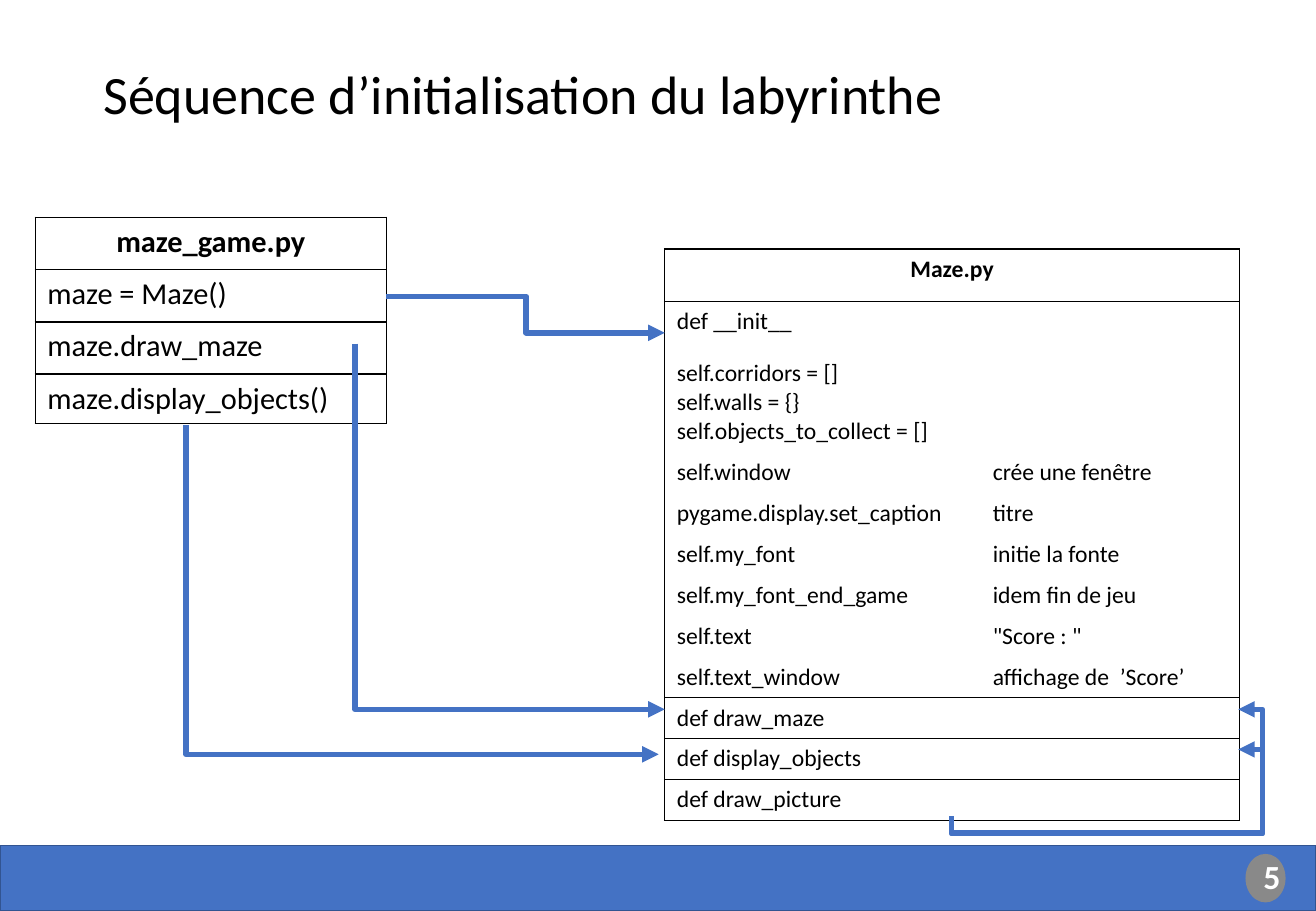
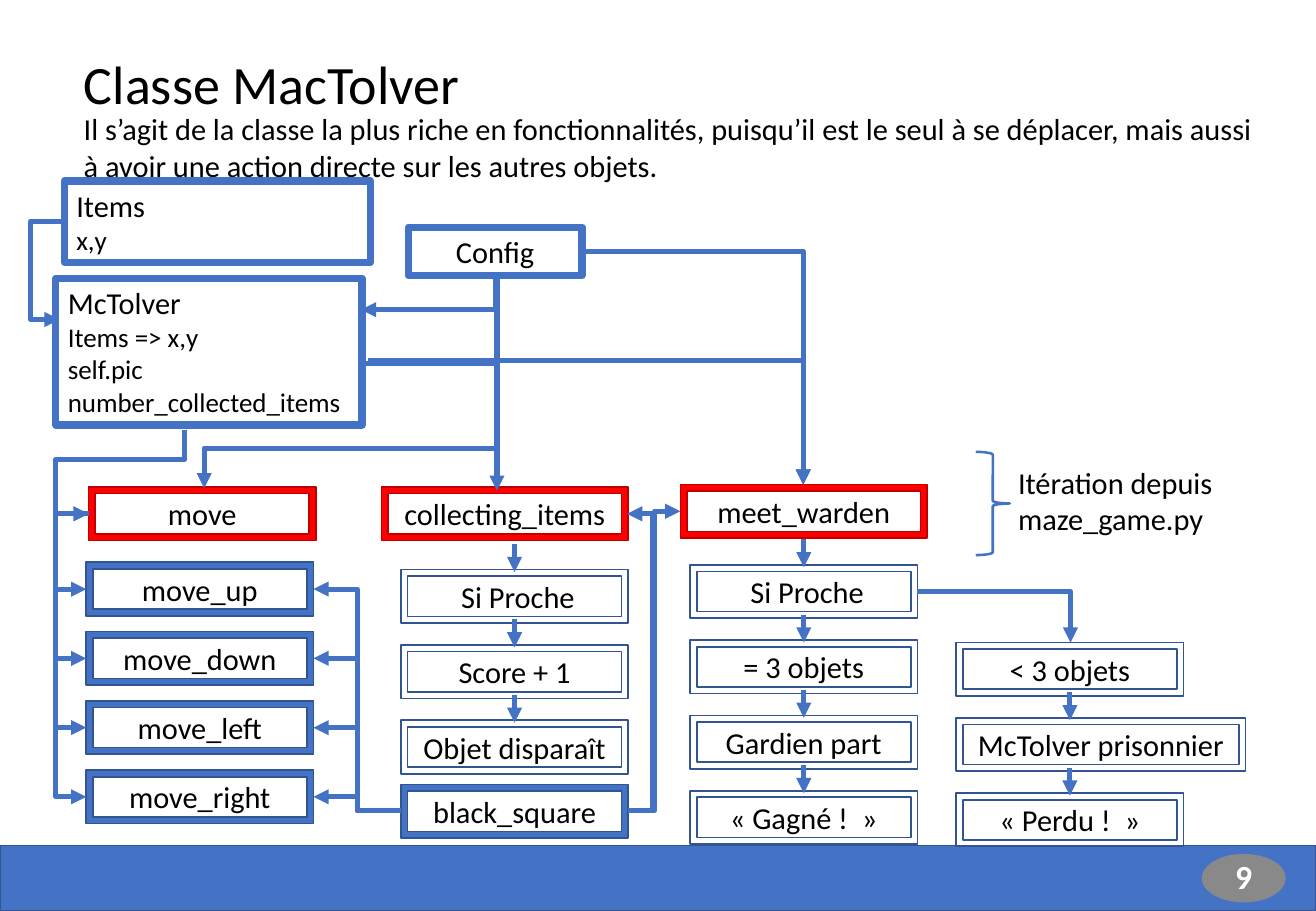
from lxml import etree
from pptx import Presentation
from pptx.dml.color import RGBColor
from pptx.enum.shapes import MSO_CONNECTOR, MSO_SHAPE
from pptx.enum.text import MSO_ANCHOR, MSO_AUTO_SIZE, PP_ALIGN
from pptx.oxml.ns import qn
from pptx.util import Inches, Pt

BLUE = RGBColor(0x44, 0x72, 0xC4)
NAVY = RGBColor(0x32, 0x54, 0x91)
GREY = RGBColor(0x89, 0x89, 0x89)
RED = RGBColor(0xFF, 0x00, 0x00)
DARK_RED = RGBColor(0xC0, 0x00, 0x00)
BLACK = RGBColor(0x00, 0x00, 0x00)
WHITE = RGBColor(0xFF, 0xFF, 0xFF)
FONT = "Calibri"
LEFT, CENTER = PP_ALIGN.LEFT, PP_ALIGN.CENTER
STRAIGHT, ELBOW = MSO_CONNECTOR.STRAIGHT, MSO_CONNECTOR.ELBOW
TITLE_ONLY = 5

# Content: initialisation sequence; each row is (texts, bordered sides)
GAME_ROWS = [
    (["maze_game.py"], "LRTB"),
    (["maze\u00a0=\u00a0Maze()"], "LRTB"),
    (["maze.draw_maze"], "LRTB"),
    (["maze.display_objects()"], "LRTB"),
]
MAZE_ROWS = [
    (["Maze.py"], "LRTB"),
    (["def __init__"], "LRT"),
    (["self.corridors\u00a0=\u00a0[]\nself.walls\u00a0=\u00a0{}\n"
      "self.objects_to_collect\u00a0=\u00a0[]"], "LR"),
    (["self.window", "crée une fenêtre"], "LR"),
    (["pygame.display.set_caption", "titre"], "LR"),
    (["self.my_font", "initie la fonte"], "LR"),
    (["self.my_font_end_game", "idem fin de jeu"], "LR"),
    (["self.text", '"Score\u00a0:\u00a0"'], "LR"),
    (["self.text_window", "affichage de \u00a0’Score’"], "LRB"),
    (["def draw_maze"], "LRTB"),
    (["def display_objects"], "LRTB"),
    (["def draw_picture"], "LRTB"),
]
CALL_ROUTES = [
    [(3.18, 2.44), (4.33, 2.44), (4.33, 2.74), (5.47, 2.74)],
    [(1.53, 3.5), (1.53, 6.21), (5.42, 6.21)],
    [(2.92, 2.83), (2.92, 5.84), (5.47, 5.84)],
] + [[(7.83, 6.72), (7.83, 6.86), (10.39, 6.86), (10.39, y), (10.19, y)]
     for y in (5.84, 6.17)]

# Content: class diagram
INTRO = ("Il s’agit de la classe la plus riche en fonctionnalités, puisqu’il est "
         "le seul à se déplacer, mais aussi à avoir une action directe sur les "
         "autres objets.")
METHODS = [("move", 0.73, 4.01, 1.87), ("collecting_items", 3.14, 4.01, 2.03),
           ("meet_warden", 5.6, 3.99, 2.03)]
MOVES = ["move_up", "move_down", "move_left", "move_right"]
MOVE_LEFT, MOVE_TOP, MOVE_STEP = 0.71, 4.63, 0.57
# (left, top, arrow into the first step, labels)
CHAINS = [
    (3.3, 4.69, True, [" Si Proche", "Score + 1", "Objet disparaît"]),
    (5.68, 4.65, True, [" Si Proche", "= 3 objets", "Gardien part",
                        "«\u00a0Gagné ! \u00a0»"]),
    (7.87, 5.29, False, ["< 3 objets", "McTolver prisonnier",
                         "«\u00a0Perdu ! \u00a0»"]),
]
CHAIN_STEP = 0.62
WIDE_STEPS = {"McTolver prisonnier": 2.38}
FRAME_W, FRAME_H = 1.87, 0.44
CLASS_BOXES = [
    ("McTolver\nItems => x,y\nself.pic\nnumber_collected_items",
     (0.46, 2.29, 2.52, 1.21), LEFT),
    ("Items\nx,y", (0.53, 1.49, 2.52, 0.67), LEFT),
    ("Config", (3.36, 1.87, 1.43, 0.4), CENTER),
]
LINK_ROUTES = [
    [(1.52, 3.54), (1.52, 3.78), (0.46, 3.78), (0.46, 4.23), (0.73, 4.23)],
    [(2.89, 2.99), (4.09, 2.99), (4.09, 4.04)],
    [(3.03, 2.97), (6.61, 2.97), (6.61, 3.99)],
    [(7.55, 4.87), (8.81, 4.87), (8.81, 5.29)],
    [(0.5, 1.82), (0.25, 1.82), (0.25, 2.63), (0.49, 2.63)],
    [(4.08, 2.28), (4.08, 2.55), (2.97, 2.55)],
    [(5.17, 6.67), (5.39, 6.67), (5.39, 4.21), (5.6, 4.21)],
    [(5.17, 6.67), (5.37, 6.67), (5.37, 4.23), (5.16, 4.23)],
    [(4.79, 2.07), (6.61, 2.07), (6.61, 3.99)],
    [(4.09, 2.29), (4.09, 3.69), (1.68, 3.69), (1.68, 4.02)],
]


def inches(values):
    return [Inches(value) for value in values]


def write(frame, text, size, align=LEFT, color=BLACK, bold=False):
    frame.text = text
    frame.word_wrap = True
    for para in frame.paragraphs:
        para.alignment = align
        for span in para.runs:
            span.font.name = FONT
            span.font.size = Pt(size)
            span.font.bold = bold
            span.font.color.rgb = color


def add_box(page, kind, place, fill, line, width=1):
    box = page.shapes.add_shape(kind, *inches(place))
    box.shadow.inherit = False
    if fill is None:
        box.fill.background()
    else:
        box.fill.solid()
        box.fill.fore_color.rgb = fill
    if line is None:
        box.line.fill.background()
    else:
        box.line.color.rgb = line
        box.line.width = Pt(width)
    return box


def add_text(page, text, place, align=LEFT):
    box = page.shapes.add_textbox(*inches(place))
    write(box.text_frame, text, 18, align)
    return box


def add_frame(page, label, place, fill=None, line=NAVY):
    box = add_box(page, MSO_SHAPE.FRAME, place, fill, line)
    write(box.text_frame, label, 18, CENTER)
    box.text_frame.vertical_anchor = MSO_ANCHOR.MIDDLE


def add_page(deck, title, title_place, number, badge_place):
    page = deck.slides.add_slide(deck.slide_layouts[TITLE_ONLY])
    add_box(page, MSO_SHAPE.RECTANGLE, (0, 6.96, 10.83, 0.54), BLUE, NAVY)
    badge = add_box(page, MSO_SHAPE.OVAL, badge_place, GREY, None)
    write(badge.text_frame, number, 20, CENTER, WHITE, True)
    heading = page.shapes.title
    heading.left, heading.top, heading.width, heading.height = inches(title_place)
    write(heading.text_frame, title, 32)
    heading.text_frame.auto_size = MSO_AUTO_SIZE.NONE
    heading.text_frame.vertical_anchor = MSO_ANCHOR.BOTTOM
    badge.text_frame.vertical_anchor = MSO_ANCHOR.MIDDLE
    for box in (heading, badge):
        box.text_frame.paragraphs[0].line_spacing = 0.9
    badge.text_frame.paragraphs[0].space_after = Pt(6)
    return page


def add_route(page, points, width=3):
    """Draw an arrow through right-angled points, or straight for two points."""
    start, end = points[0], points[-1]
    if len(points) == 2:
        link = page.shapes.add_connector(STRAIGHT, *inches(start + end))
    else:
        delta = (end[0] - start[0], end[1] - start[1])
        vertical = points[1][0] == start[0]
        axis = 1 if vertical else 0
        # Turn the elbow so that its own x axis follows the first segment
        if vertical:
            turn = 270 if delta[0] > 0 and delta[1] > 0 else 90
        else:
            turn = 180 if delta[0] < 0 else 0
        sign = -1 if turn >= 180 else 1
        along = sign * delta[axis] / 2
        across = sign * delta[1 - axis] / 2 * (-1 if vertical else 1)
        middle_x, middle_y = (start[0] + end[0]) / 2, (start[1] + end[1]) / 2
        link = page.shapes.add_connector(ELBOW, *inches((
            middle_x - along, middle_y - across,
            middle_x + along, middle_y + across)))
        properties = link._element.spPr
        if turn:
            properties.find(qn("a:xfrm")).set("rot", str(turn * 60000))
        geometry = properties.find(qn("a:prstGeom"))
        geometry.set("prst", f"bentConnector{len(points) - 1}")
        guides = geometry.find(qn("a:avLst"))
        for index, point in enumerate(points[1:-2], 1):
            side = axis if index == 1 else 1 - axis
            share = point[side] - start[side]
            etree.SubElement(guides, qn("a:gd"), name=f"adj{index}",
                             fmla=f"val {round(share / delta[side] * 100000)}")
    link.line.color.rgb = BLUE
    link.line.width = Pt(width)
    etree.SubElement(link.line._get_or_add_ln(), qn("a:tailEnd"), type="triangle")
    etree.SubElement(link._element.spPr, qn("a:effectLst"))


def set_borders(cell, sides):
    properties = cell._tc.get_or_add_tcPr()
    for side in "LRTB":
        line = etree.SubElement(properties, qn("a:ln" + side), w=str(Pt(1)))
        if side in sides:
            fill = etree.SubElement(line, qn("a:solidFill"))
            etree.SubElement(fill, qn("a:srgbClr"), val=str(BLACK))
        else:
            etree.SubElement(line, qn("a:noFill"))


def add_grid(page, rows, left, top, widths, heights, size):
    table = page.shapes.add_table(len(rows), len(widths), *inches(
        (left, top, sum(widths), sum(heights)))).table
    table.first_row = table.horz_banding = False
    for column, width in zip(table.columns, widths):
        column.width = Inches(width)
    last = len(widths) - 1
    for index, (texts, sides) in enumerate(rows):
        table.rows[index].height = Inches(heights[index])
        spanned = len(texts) <= last
        for number in range(last + 1):
            cell = table.cell(index, number)
            hidden = ("" if spanned or number == 0 else "L") + (
                "" if spanned or number == last else "R")
            set_borders(cell, [side for side in sides if side not in hidden])
            cell.fill.background()
        if spanned:
            table.cell(index, 0).merge(table.cell(index, last))
        for number, text in enumerate(texts):
            write(table.cell(index, number).text_frame, text, size,
                  CENTER if index == 0 else LEFT, bold=index == 0)


deck = Presentation()
deck.slide_width, deck.slide_height = Inches(10.83), Inches(7.5)

# Initialisation sequence
page = add_page(deck, "Séquence d’initialisation du labyrinthe",
                (0.75, 0.14, 9.2, 0.95), "5", (10.25, 7.03, 0.33, 0.4))
add_grid(page, GAME_ROWS, 0.29, 1.79, [2.89], [0.43] * 3 + [0.4], 18)
add_grid(page, MAZE_ROWS, 5.47, 2.05, [2.6, 2.13],
         [0.43, 0.43, 0.81] + [0.33] * 9, 14)
for route in CALL_ROUTES:
    add_route(page, route, 3.25)

# Class diagram: title, introduction and side note
page = add_page(deck, "Classe MacTolver", (0.59, 0.06, 7.68, 0.95),
                "9", (9.89, 7.03, 0.69, 0.4))
add_text(page, INTRO, (0.59, 0.86, 9.99, 0.71))
add_text(page, "Itération depuis\nmaze_game.py", (8.28, 3.77, 2.1, 0.71))
add_box(page, MSO_SHAPE.RIGHT_BRACE, (8.03, 3.72, 0.28, 0.85), None, BLUE, 1.5)

# Methods, moves and chains of steps
for label, left, top, width in METHODS:
    add_frame(page, label, (left, top, width, FRAME_H), RED, DARK_RED)
add_frame(page, "black_square", (3.3, 6.46, FRAME_W, FRAME_H), BLUE)
for index, label in enumerate(MOVES):
    top = MOVE_TOP + index * MOVE_STEP
    middle = top + FRAME_H / 2
    add_frame(page, label, (MOVE_LEFT, top, FRAME_W, FRAME_H), BLUE)
    add_route(page, [(0.73, 4.23), (0.46, 4.23), (0.46, middle),
                     (MOVE_LEFT, middle)])
    add_route(page, [(3.3, 6.67), (2.94, 6.67), (2.94, middle),
                     (MOVE_LEFT + FRAME_W, middle)])
for left, first_top, arrow_first, labels in CHAINS:
    for index, label in enumerate(labels):
        top = first_top + index * CHAIN_STEP
        add_frame(page, label, (left, top, WIDE_STEPS.get(label, FRAME_W), FRAME_H))
        if index or arrow_first:
            arrow_x = left + FRAME_W / 2
            add_route(page, [(arrow_x, top - 0.21), (arrow_x, top + 0.02)])

# Links, then the class boxes on top of them
for route in LINK_ROUTES:
    add_route(page, route)
for text, place, align in CLASS_BOXES:
    box = add_text(page, text, place, align)
    box.fill.solid()
    box.fill.fore_color.rgb = WHITE
    box.line.color.rgb = BLUE
    box.line.width = Pt(4.25)
    for para in box.text_frame.paragraphs[1:]:
        para.runs[0].font.size = Pt(16)

deck.save("out.pptx")
